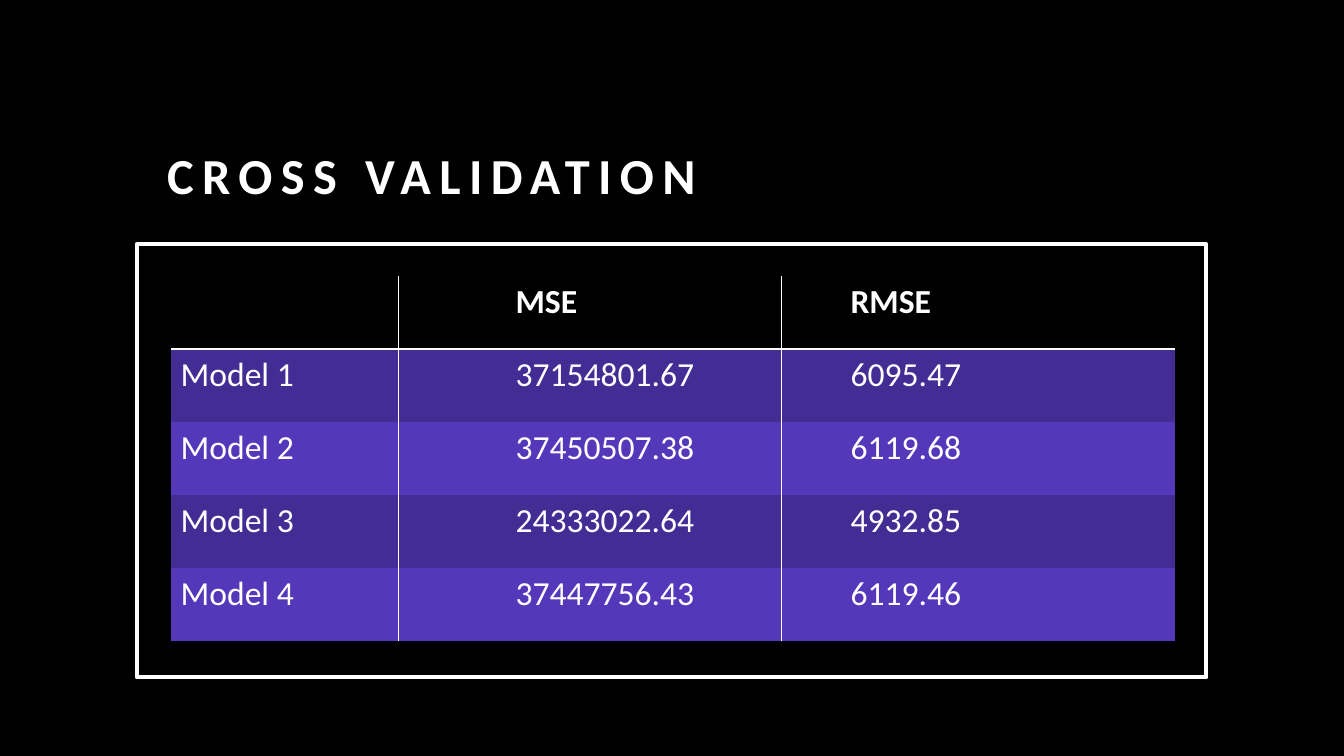
from lxml import etree
from pptx import Presentation
from pptx.dml.color import RGBColor
from pptx.enum.shapes import MSO_CONNECTOR as Connector, MSO_SHAPE as Shape
from pptx.enum.text import MSO_ANCHOR as Anchor, PP_ALIGN as Align
from pptx.oxml import parse_xml
from pptx.oxml.ns import nsdecls, qn
from pptx.util import Cm, Pt

BLACK = RGBColor(0x00, 0x00, 0x00)
WHITE = RGBColor(0xFF, 0xFF, 0xFF)
DARK_PURPLE = RGBColor(0x43, 0x2D, 0x94)
LIGHT_PURPLE = RGBColor(0x54, 0x38, 0xB9)
FONT = "Calibri"
NO_GRID_STYLE = "{2D5ABB26-0587-4C30-8999-92F81FD0307C}"

ROWS = [
    ("", "MSE", "RMSE"),
    ("Model 1", "37154801.67", "6095.47"),
    ("Model 2", "37450507.38", "6119.68"),
    ("Model 3", "24333022.64", "4932.85"),
    ("Model 4", "37447756.43", "6119.46"),
]
TABLE_LEFT, TABLE_TOP = 4.3, 6.96
COLUMN_WIDTH, ROW_HEIGHT = 8.44, 1.84
TABLE_HEIGHT = ROW_HEIGHT * len(ROWS)


def add_run(paragraph, text, size, bold):
    run = paragraph.add_run()
    run.text = text
    run.font.name = FONT
    run.font.size = Pt(size)
    run.font.bold = bold
    run.font.color.rgb = WHITE
    return run


presentation = Presentation()
presentation.slide_width = Cm(33.87)
presentation.slide_height = Cm(19.05)
slide = presentation.slides.add_slide(presentation.slide_layouts[5])
slide.background.fill.solid()
slide.background.fill.fore_color.rgb = BLACK

# Title
title = slide.shapes.title
title.left, title.top, title.width, title.height = Cm(3.96), Cm(2.9), Cm(25.65), Cm(2.39)
title.text_frame.vertical_anchor = Anchor.BOTTOM
paragraph = title.text_frame.paragraphs[0]
paragraph.alignment = Align.LEFT
paragraph.line_spacing = 1.2
title_run = add_run(paragraph, "CROSS VALIDATION", 36, True)
title_run.font._element.set("spc", "600")

# Table of errors per model
table_frame = slide.shapes.add_table(
    len(ROWS), len(ROWS[0]), Cm(TABLE_LEFT), Cm(TABLE_TOP),
    Cm(COLUMN_WIDTH * len(ROWS[0])), Cm(TABLE_HEIGHT))
table = table_frame.table
table.first_row = table.horz_banding = False
table._tbl.tblPr.find(qn("a:tableStyleId")).text = NO_GRID_STYLE
for column in table.columns:
    column.width = Cm(COLUMN_WIDTH)

for row_index, values in enumerate(ROWS):
    is_header = row_index == 0
    band = DARK_PURPLE if row_index % 2 else LIGHT_PURPLE
    table.rows[row_index].height = Cm(ROW_HEIGHT)
    for column_index, value in enumerate(values):
        cell = table.cell(row_index, column_index)
        cell.fill.solid()
        cell.fill.fore_color.rgb = BLACK if is_header else band
        if value:
            add_run(cell.text_frame.paragraphs[0], value, 24, is_header)
        if is_header:
            border = parse_xml(
                f'<a:lnB {nsdecls("a")} w="{Pt(2)}"><a:solidFill>'
                f'<a:srgbClr val="{WHITE}"/></a:solidFill></a:lnB>')
            cell._tc.get_or_add_tcPr().insert(0, border)

# Column dividers and outer frame
for divider_x in (10.03, 19.69):
    divider = slide.shapes.add_connector(
        Connector.STRAIGHT, Cm(divider_x), Cm(TABLE_TOP),
        Cm(divider_x), Cm(TABLE_TOP + TABLE_HEIGHT))
    divider.line.color.rgb = WHITE
    divider.line.width = Pt(0.5)
    etree.SubElement(divider._element.spPr, qn("a:effectLst"))

frame = slide.shapes.add_shape(Shape.RECTANGLE, Cm(3.45), Cm(6.15), Cm(26.95), Cm(10.92))
frame.shadow.inherit = False
frame.fill.background()
frame.line.color.rgb = WHITE
frame.line.width = Pt(3)

presentation.save("out.pptx")
